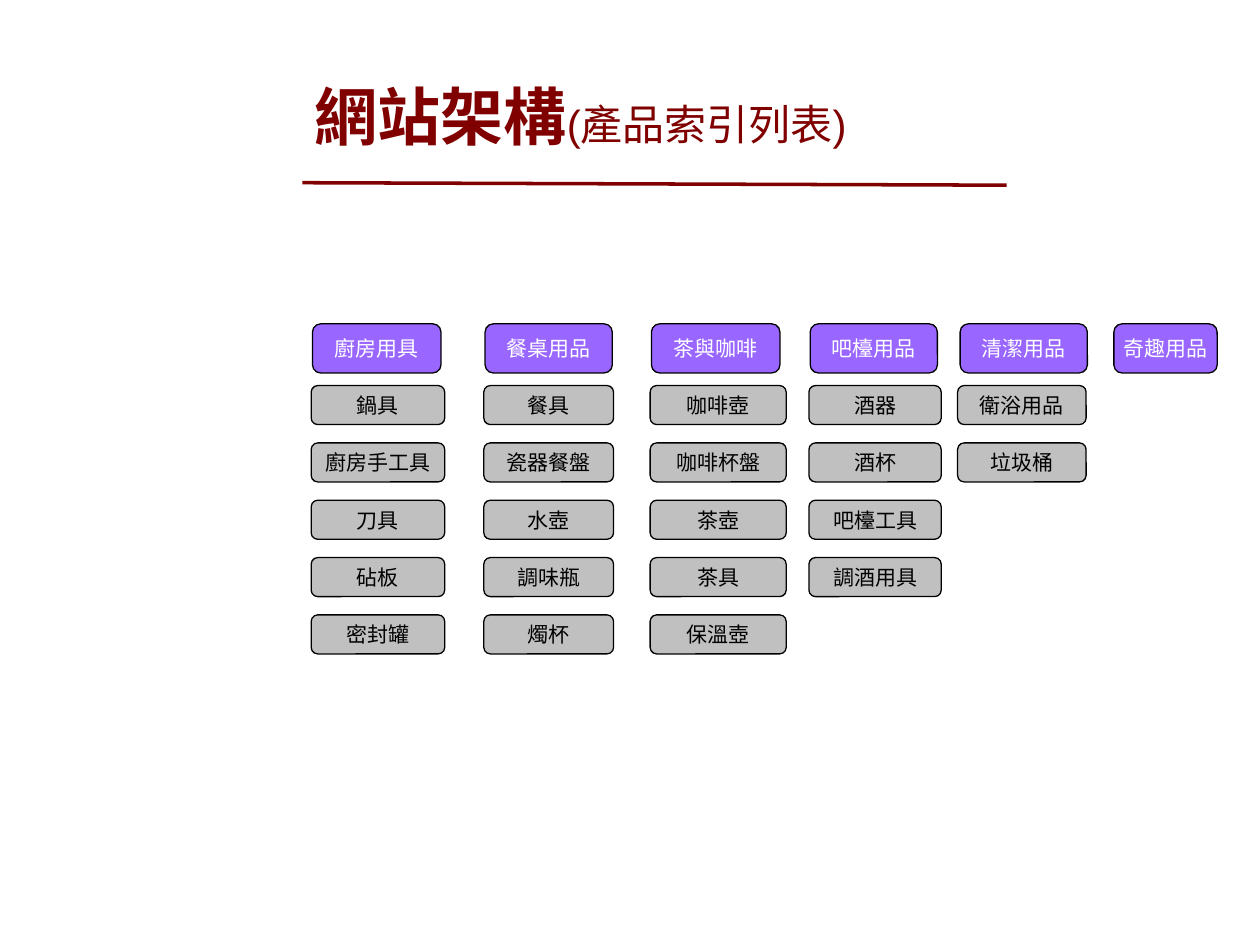
"""Build the site structure slide with its product index columns."""
import pptx
import pptx.dml.color
import pptx.enum.shapes
import pptx.enum.text
import pptx.oxml.ns
import pptx.util
from lxml import etree
from pptx.util import Inches

MAROON, PURPLE, GREY = "800000", "9966FF", "C0C0C0"
BLACK, WHITE = "000000", "FFFFFF"
HEADER_TOP, HEADER_HEIGHT = 2.57, 0.39
ITEM_TOP, ITEM_HEIGHT, ITEM_STEP = 3.06, 0.31, 0.455

COLUMNS = [
    ("廚房用具", 2.48, 1.02, 2.47, 1.06, ["鍋具", "廚房手工具", "刀具", "砧板", "密封罐"]),
    ("餐桌用品", 3.85, 1.01, 3.84, 1.03, ["餐具", "瓷器餐盤", "水壺", "調味瓶", "燭杯"]),
    ("茶與咖啡", 5.17, 1.02, 5.16, 1.08, ["咖啡壺", "咖啡杯盤", "茶壺", "茶具", "保溫壺"]),
    ("吧檯用品", 6.43, 1.01, 6.42, 1.05, ["酒器", "酒杯", "吧檯工具", "調酒用具"]),
    ("清潔用品", 7.62, 1.01, 7.6, 1.02, ["衛浴用品", "垃圾桶"]),
    ("奇趣用品", 8.84, 0.82, 8.84, 0.82, []),
]


def rgb(value):
    return pptx.dml.color.RGBColor.from_string(value)


def add_span(para, text, size, color, bold=False):
    span = para.add_run()
    span.text = text
    span.font.name = "Arial"
    span.font.size = pptx.util.Pt(size)
    span.font.bold = bold
    span.font.color.rgb = rgb(color)


def add_title(page):
    box = page.shapes.add_textbox(Inches(2.4), Inches(0.25), Inches(7.27), Inches(1.33))
    frame = box.text_frame
    frame.word_wrap = True
    frame.vertical_anchor = pptx.enum.text.MSO_ANCHOR.MIDDLE
    para = frame.paragraphs[0]
    add_span(para, "網站架構", 36, MAROON, bold=True)
    add_span(para, "(產品索引列表)", 24, MAROON)


def add_rule(page):
    rule = page.shapes.add_connector(
        pptx.enum.shapes.MSO_CONNECTOR.STRAIGHT,
        Inches(7.99), Inches(1.47), Inches(2.4), Inches(1.45))
    rule.line.color.rgb = rgb(MAROON)
    rule.line.width = pptx.util.Pt(2)
    etree.SubElement(rule._element.spPr, pptx.oxml.ns.qn("a:effectLst"))


def add_label(page, text, left, top, width, height, fill, color):
    label = page.shapes.add_shape(
        pptx.enum.shapes.MSO_SHAPE.ROUNDED_RECTANGLE,
        Inches(left), Inches(top), Inches(width), Inches(height))
    label.shadow.inherit = False
    label.fill.solid()
    label.fill.fore_color.rgb = rgb(fill)
    label.line.color.rgb = rgb(BLACK)
    label.line.width = pptx.util.Pt(0.75)
    frame = label.text_frame
    frame.margin_left = frame.margin_right = 0
    frame.margin_top = frame.margin_bottom = 0
    frame.word_wrap = False
    frame.vertical_anchor = pptx.enum.text.MSO_ANCHOR.MIDDLE
    para = frame.paragraphs[0]
    para.alignment = pptx.enum.text.PP_ALIGN.CENTER
    add_span(para, text, 12, color)


def add_column(page, header, header_left, header_width, item_left, item_width, items):
    for row, item in enumerate(items):
        add_label(page, item, item_left, ITEM_TOP + row * ITEM_STEP,
                  item_width, ITEM_HEIGHT, GREY, BLACK)
    add_label(page, header, header_left, HEADER_TOP,
              header_width, HEADER_HEIGHT, PURPLE, WHITE)


def main():
    deck = pptx.Presentation()
    deck.slide_width, deck.slide_height = Inches(10), Inches(7.5)
    page = deck.slides.add_slide(deck.slide_layouts[6])
    add_rule(page)
    add_title(page)
    for column in COLUMNS:
        add_column(page, *column)
    deck.save("out.pptx")


if __name__ == "__main__":
    main()
